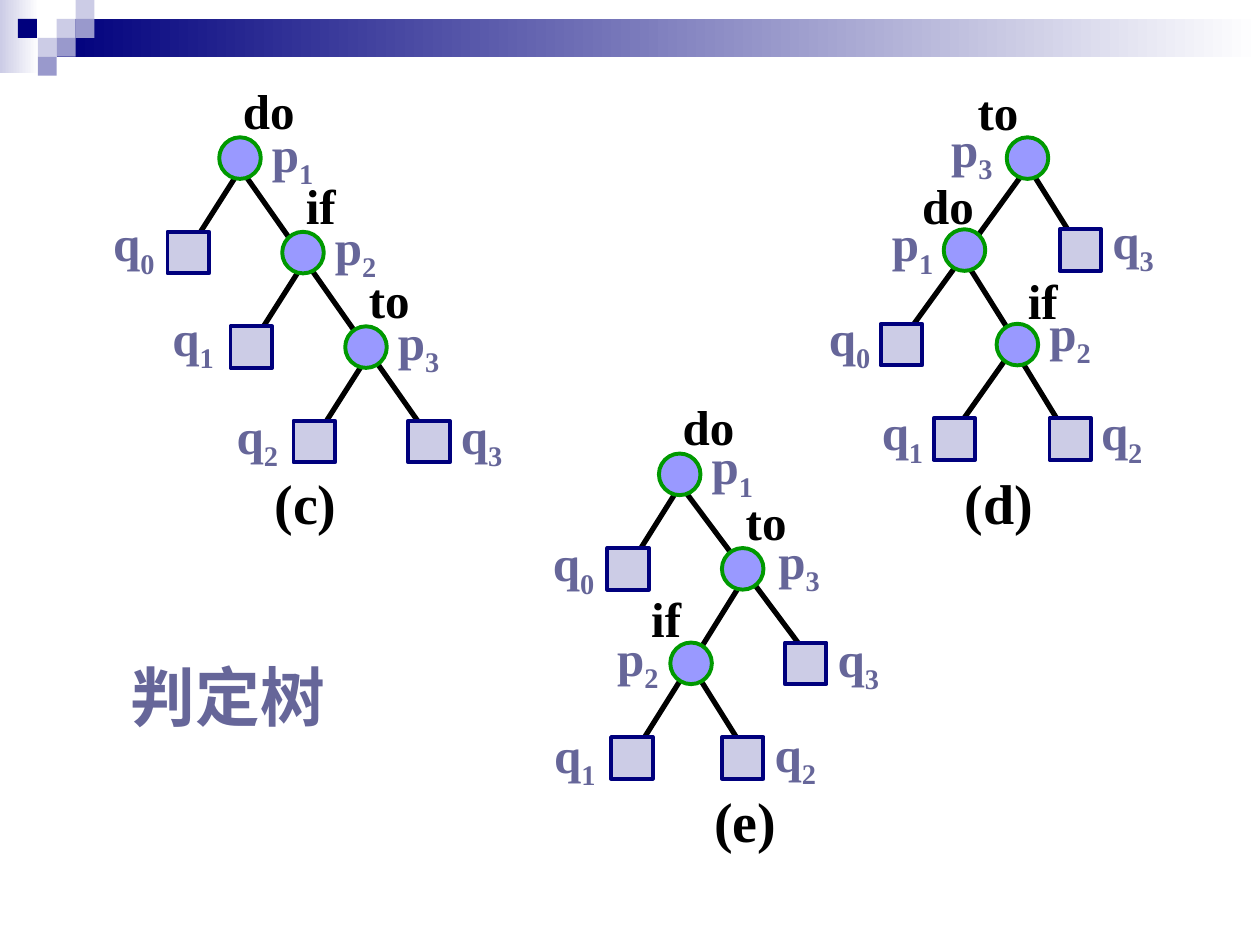
import pptx
import pptx.util
import pptx.dml.color
import pptx.enum.shapes
import pptx.enum.text
import pptx.oxml.ns
from dataclasses import dataclass
from lxml import etree

Inches = pptx.util.Inches
Pt = pptx.util.Pt
KIND = pptx.enum.shapes.MSO_SHAPE
FIT = pptx.enum.text.MSO_AUTO_SIZE


@dataclass(frozen=True)
class Theme:
    navy: str = "00007D"
    pale: str = "CCCCE6"
    mid: str = "9999CC"
    white: str = "FFFFFF"
    black: str = "000000"
    label: str = "666699"
    node: str = "9999FF"
    green: str = "009900"
    serif: str = "Times New Roman"
    sans: str = "Arial"
    title: int = 37
    name: int = 32
    text: int = 28
    rim: float = 2.25
    edge: float = 3


T = Theme()
SIDE = 0.33    # circle and square nodes
CELL = 0.15    # header mosaic
WIDTHS = {"do": 0.61, "if": 0.44, "to": 0.52, "(c)": 0.7, "(d)": 0.75, "(e)": 0.7}

# Places are relative to the tree's box.
# leaves: digit, node place, label place
# tests: word, digit, node place, word place, label place
TREES = [
    dict(name="(c)", box=(0.8, 0.6), foot=(1.28, 3.07),
         edges=[(1.11, 0.74, 0.69, 1.4), (1.61, 1.49, 1.19, 2.15),
                (2.11, 2.24, 1.69, 2.9), (1.11, 0.74, 2.69, 2.99)],
         leaves=[("0", (0.53, 1.24), (0, 1.04)), ("1", (1.03, 1.99), (0.47, 1.79)),
                 ("2", (1.53, 2.74), (0.98, 2.57)), ("3", (2.44, 2.74), (2.76, 2.57))],
         tests=[("do", "1", (0.94, 0.49), (1.03, -0.01), (1.26, 0.33)),
                ("if", "2", (1.44, 1.24), (1.53, 0.74), (1.76, 1.07)),
                ("to", "3", (1.94, 1.99), (2.03, 1.49), (2.26, 1.82))]),
    dict(name="(d)", box=(6.48, 0.6), foot=(1.08, 3.07),
         edges=[(1.51, 2.24, 1.1, 2.82), (1.68, 0.72, 2.1, 1.39),
                (1.18, 1.47, 1.6, 2.14), (1.6, 2.22, 2.01, 2.89),
                (1.68, 0.72, 0.76, 1.99)],
         leaves=[("0", (0.51, 1.97), (0, 1.79)), ("1", (0.93, 2.72), (0.42, 2.54)),
                 ("2", (1.85, 2.72), (2.16, 2.54)), ("3", (1.93, 1.22), (2.25, 1.02))],
         tests=[("to", "3", (1.51, 0.49), (1.18, 0), (0.97, 0.29)),
                ("do", "1", (1.01, 1.22), (0.74, 0.74), (0.5, 1.04)),
                ("if", "2", (1.43, 1.97), (1.58, 1.5), (1.75, 1.75))]),
    dict(name="(e)", box=(4.29, 3.1), foot=(1.28, 3.09),
         edges=[(1.19, 2.17, 1.61, 2.84), (1.11, 0.75, 0.69, 1.42),
                (1.61, 1.5, 1.2, 2.16), (1.14, 2.25, 0.72, 2.92),
                (1.11, 0.75, 2.11, 2.09)],
         leaves=[("0", (0.53, 1.25), (0, 1.08)), ("1", (0.56, 2.75), (0.01, 2.6)),
                 ("2", (1.44, 2.75), (1.76, 2.59)), ("3", (1.94, 2), (2.26, 1.84))],
         tests=[("do", "1", (0.94, 0.5), (1.03, 0), (1.26, 0.31)),
                ("to", "3", (1.44, 1.25), (1.53, 0.75), (1.79, 1.06)),
                ("if", "2", (1.03, 2), (0.78, 1.52), (0.51, 1.83))]),
]


def color(code):
    return pptx.dml.color.RGBColor.from_string(code)


def shape(slide, kind, x, y, w, h, fill, rim=None):
    item = slide.shapes.add_shape(kind, Inches(x), Inches(y), Inches(w), Inches(h))
    item.shadow.inherit = False
    if isinstance(fill, tuple):
        item.fill.gradient()
        item.fill.gradient_angle = 0
        for stop, code in zip(item.fill.gradient_stops, fill):
            stop.color.rgb = color(code)
    else:
        item.fill.solid()
        item.fill.fore_color.rgb = color(fill)
    if rim:
        item.line.color.rgb = color(rim)
        item.line.width = Pt(T.rim)
    else:
        item.line.fill.background()


def line(slide, x1, y1, x2, y2):
    item = slide.shapes.add_connector(
        pptx.enum.shapes.MSO_CONNECTOR.STRAIGHT,
        Inches(x1), Inches(y1), Inches(x2), Inches(y2))
    item.line.color.rgb = color(T.black)
    item.line.width = Pt(T.edge)
    etree.SubElement(item._element.spPr, pptx.oxml.ns.qn("a:effectLst"))


def text(slide, x, y, w, h, words, size, ink, font=T.serif, sub="", wrap=False):
    box = slide.shapes.add_textbox(Inches(x), Inches(y), Inches(w), Inches(h))
    frame = box.text_frame
    frame.text = words
    frame.word_wrap = wrap
    frame.auto_size = FIT.NONE if wrap else FIT.SHAPE_TO_FIT_TEXT
    para = frame.paragraphs[0]
    if sub:
        run = para.add_run()
        run.text = sub
        run.font._element.set("baseline", "-25000")
    for run in para.runs:
        run.font.name = font
        run.font.size = Pt(size)
        run.font.bold = True
        run.font.color.rgb = color(ink)


def header(slide, x, y, w):
    # Gradient bands
    shape(slide, KIND.RECTANGLE, x, y, 0.31, 0.58, (T.pale, T.white))
    shape(slide, KIND.RECTANGLE, x + 3 * CELL, y + CELL, w - 3 * CELL, 2 * CELL,
          (T.navy, T.white))
    # Mosaic: column, row, colour
    cells = [(3, 1, T.pale), (4, 0, T.pale), (4, 1, T.mid), (2, 2, T.pale),
             (0.95, 1, T.navy), (3, 2, T.mid), (2, 3, T.mid)]
    for col, row, fill in cells:
        shape(slide, KIND.RECTANGLE, x + col * CELL, y + row * CELL, CELL, CELL, fill)


def tree(slide, x, y, data):
    # Branches lie behind the nodes
    for x1, y1, x2, y2 in data["edges"]:
        line(slide, x + x1, y + y1, x + x2, y + y2)

    def node(kind, at, fill, rim):
        shape(slide, kind, x + at[0], y + at[1], SIDE, SIDE, fill, rim)

    def tag(letter, digit, at):
        text(slide, x + at[0], y + at[1], 0.53, 0.63, letter, T.text, T.label, sub=digit)

    def word(words, at, size, h):
        text(slide, x + at[0], y + at[1], WIDTHS[words], h, words, size, T.black)

    # Leaves
    for digit, at, spot in data["leaves"]:
        node(KIND.RECTANGLE, at, T.pale, T.navy)
        tag("q", digit, spot)
    # Tests
    for words, digit, at, top, spot in data["tests"]:
        node(KIND.OVAL, at, T.node, T.green)
        word(words, top, T.text, 0.57)
        tag("p", digit, spot)
    # Name below the tree
    word(data["name"], data["foot"], T.name, 0.64)


def main():
    deck = pptx.Presentation()
    deck.slide_width, deck.slide_height = Inches(10), Inches(7.5)
    slide = deck.slides.add_slide(deck.slide_layouts[6])
    header(slide, 0, 0, 10)
    text(slide, 0.94, 5.16, 2.64, 0.75, "判定树", T.title, T.label, T.sans, wrap=True)
    for data in TREES:
        tree(slide, *data["box"], data)
    deck.save("out.pptx")


if __name__ == "__main__":
    main()
